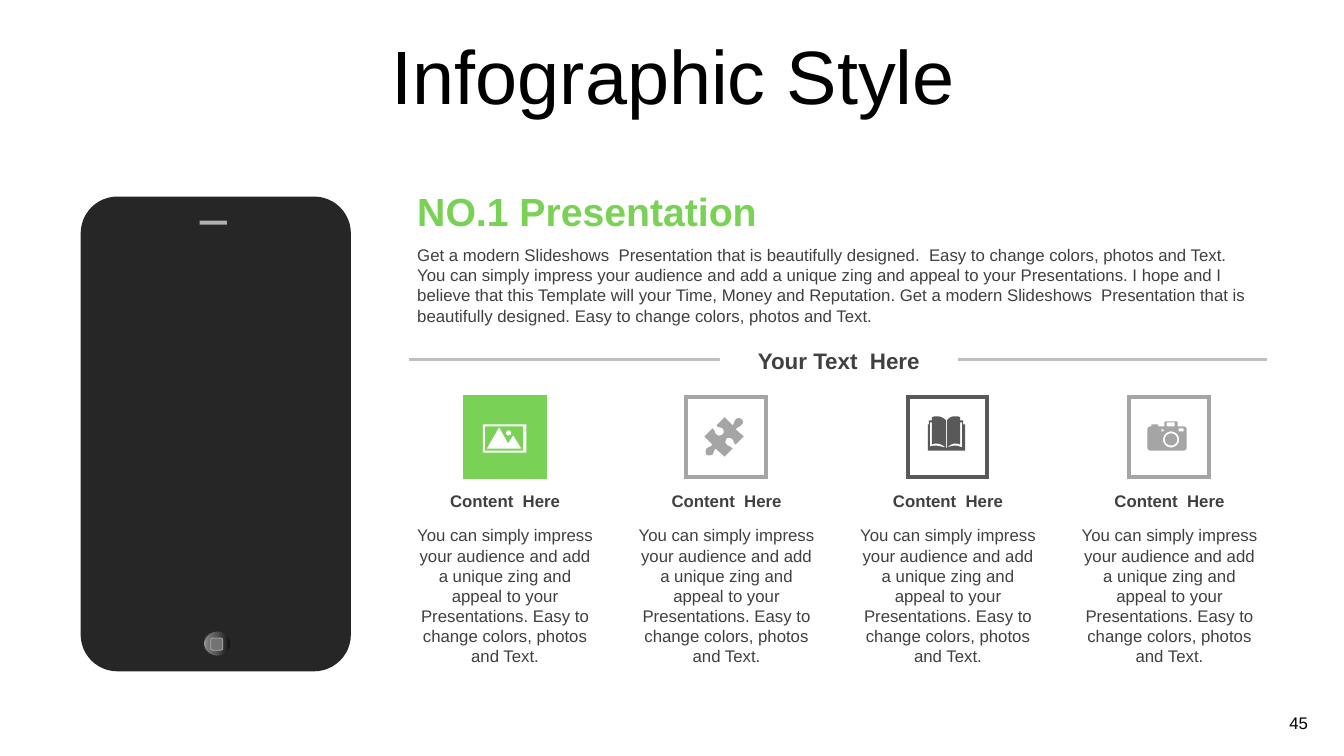
from dataclasses import dataclass
from math import cos, pi, sin

from lxml import etree
from pptx import Presentation
from pptx.dml.color import RGBColor
from pptx.enum.shapes import MSO_CONNECTOR as Connector, MSO_SHAPE as Preset
from pptx.enum.text import MSO_ANCHOR as Anchor, MSO_AUTO_SIZE as AutoSize, PP_ALIGN as Align
from pptx.oxml.ns import qn
from pptx.util import Inches, Pt


@dataclass(frozen=True)
class Theme:
    font: str = "Arial"
    black: str = "000000"
    white: str = "FFFFFF"
    text: str = "404040"
    green: str = "79D155"
    gray: str = "A5A5A5"
    dark: str = "595959"
    rule: str = "BFBFBF"
    phone: str = "262626"
    phone_detail: str = "B0B0B0"
    button_icon: str = "737373"
    button_stops: tuple = ((0, "0F0F0F"), (56, "595959"), (91, "808080"), (100, "BFBFBF"))
    title_size: int = 54
    heading_size: int = 28
    section_size: int = 16
    body_size: int = 12


THEME = Theme()

INTRO = (
    "Get a modern Slideshows  Presentation that is beautifully designed.  Easy to change colors, "
    "photos and Text. You can simply impress your audience and add a unique zing and appeal to "
    "your Presentations. I hope and I believe that this Template will your Time, Money and "
    "Reputation. Get a modern Slideshows  Presentation that is beautifully designed. Easy to "
    "change colors, photos and Text."
)
COLUMN_TEXT = (
    "You can simply impress your audience and add a unique zing and appeal to your "
    "Presentations. Easy to change colors, photos and Text."
)
COLUMN_LEFT, COLUMN_WIDTH, COLUMN_PITCH = 4.03, 1.96, (10.63 - 4.04) / 3
TILE_INSET, TILE_TOP, TILE_SIZE = 0.58, 3.94, 0.79


# Icon outlines, in hundredths of an inch from the tile corner
def box(left, top, width, height):
    right, bottom = left + width, top + height
    return [(left, top), (right, top), (right, bottom), (left, bottom)]


def circle(x, y, radius, steps=32):
    angles = [2 * pi * step / steps for step in range(steps)]
    return [(x + radius * cos(angle), y + radius * sin(angle)) for angle in angles]


def outline(*nodes, steps=6):
    """Two numbers are a corner; six are the controls and end of a curve."""
    points = []
    for node in nodes:
        if len(node) == 2:
            points.append(node)
            continue
        controls = (points[-1], node[:2], node[2:4], node[4:])
        for step in range(1, steps + 1):
            t = step / steps
            weights = ((1 - t) ** 3, 3 * t * (1 - t) ** 2, 3 * t * t * (1 - t), t ** 3)
            points.append(tuple(
                sum(weight * control[axis] for weight, control in zip(weights, controls))
                for axis in (0, 1)))
    return points


PHOTO_ICON = [
    box(18, 27, 43, 28), box(20, 29, 38, 24), circle(43.5, 35.5, 2.5),
    [(34, 30), (43, 46), (48, 38), (56, 51), (22, 51)],
]
PUZZLE_ICON = [outline(
    (55, 22), (56, 23, 57, 26, 55, 27), (53, 30, 51, 29, 49, 32), (57, 39), (49, 47),
    (46, 45, 48, 43, 45, 41), (43, 40, 41, 40, 40, 41), (39, 43, 38, 45, 40, 47),
    (42, 49, 43, 48, 46, 51), (38, 59), (29, 51), (27, 53, 28, 54, 26, 57),
    (24, 58, 21, 58, 20, 57), (19, 55, 19, 53, 20, 51), (22, 49, 24, 50, 26, 47),
    (18, 39), (26, 31), (29, 33, 28, 36, 30, 37), (32, 39, 34, 38, 36, 37),
    (37, 36, 38, 33, 36, 31), (33, 29, 32, 31, 30, 28), (38, 20), (46, 28),
    (48, 25, 47, 25, 49, 22), (51, 20, 54, 21, 55, 22))]
BOOK_ICON = [outline(
    (38, 50), (38, 50, 39, 51, 39, 50), (45, 48, 47, 47, 54, 50), (54, 25), (52, 25),
    (52, 47), (48, 45, 43, 46, 39, 50), (39, 23), (41, 20, 44, 19, 47, 19),
    (49, 19, 50, 19, 52, 20), (52, 23), (55, 23), (55, 27), (57, 27), (57, 53), (20, 53),
    (20, 27), (21, 27), (21, 23), (24, 23), (24, 20), (26, 19, 28, 19, 29, 19),
    (32, 19, 35, 20, 38, 23), (38, 50), (33, 46, 28, 45, 24, 47), (24, 25), (22, 25),
    (22, 49), (28, 47, 32, 49, 38, 50))]
CAMERA_ICON = [
    outline(
        (36, 24), (47, 24), (48, 25), (48, 29), (54, 29), (55, 29, 57, 30, 57, 32), (57, 50),
        (57, 52, 55, 53, 54, 53), (21, 53), (20, 53, 18, 52, 18, 50), (18, 32),
        (18, 30, 20, 29, 21, 29), (22, 29), (22, 27), (28, 27), (29, 28), (29, 29),
        (35, 29), (35, 25)),
    box(37, 25, 8, 4), box(32, 32, 2, 2), box(49, 31, 5, 3),
    circle(41.5, 42, 8), circle(41.5, 42, 6),
]
# Tile fill, tile line, icon colour, icon outlines
COLUMNS = [
    (THEME.green, THEME.green, THEME.white, PHOTO_ICON),
    (THEME.white, THEME.gray, THEME.gray, PUZZLE_ICON),
    (THEME.white, THEME.dark, THEME.dark, BOOK_ICON),
    (THEME.white, THEME.gray, THEME.gray, CAMERA_ICON),
]


def color(value):
    return RGBColor.from_string(value)


def style_shape(shape, fill, line=None, weight=0):
    shape.shadow.inherit = False
    shape.fill.solid()
    shape.fill.fore_color.rgb = color(fill)
    if line:
        shape.line.color.rgb = color(line)
        shape.line.width = Pt(weight)
        etree.SubElement(shape._element.spPr.find(qn("a:ln")), qn("a:miter"), lim="800000")
    else:
        shape.line.fill.background()


def add_preset(slide, preset, bounds, fill, line=None, weight=0):
    shape = slide.shapes.add_shape(preset, *map(Inches, bounds))
    style_shape(shape, fill, line, weight)
    return shape


def write_text(shape, text, size, ink=THEME.text, bold=False, align=Align.LEFT,
               wrap=True, auto_size=AutoSize.SHAPE_TO_FIT_TEXT, anchor=Anchor.TOP):
    frame = shape.text_frame
    frame.text = text
    frame.word_wrap, frame.auto_size, frame.vertical_anchor = wrap, auto_size, anchor
    paragraph = frame.paragraphs[0]
    paragraph.alignment = align
    font = paragraph.font
    font.name, font.size, font.bold = THEME.font, Pt(size), bold
    font.color.rgb = color(ink)
    return paragraph


def add_text(slide, bounds, text, size, **options):
    write_text(slide.shapes.add_textbox(*map(Inches, bounds)), text, size, **options)


def add_icon(slide, left, top, contours, fill):
    unit = Inches(0.01)
    builder = None
    for contour in contours:
        points = [(x * unit, y * unit) for x, y in contour]
        if builder is None:
            builder = slide.shapes.build_freeform(*points[0])
        else:
            builder.move_to(*points[0])
        builder.add_line_segments(points[1:], close=True)
    style_shape(builder.convert_to_shape(Inches(left), Inches(top)), fill)


def add_title(slide):
    title = slide.shapes.title
    title.left, title.top, title.width, title.height = map(Inches, (0.35, 0.37, 12.66, 0.79))
    paragraph = write_text(title, "Infographic Style", THEME.title_size, THEME.black,
                           align=Align.CENTER, auto_size=AutoSize.NONE, anchor=Anchor.MIDDLE)
    paragraph.line_spacing = 0.9
    title.text_frame.margin_top = Inches(0.1)


def add_phone(slide):
    body = add_preset(slide, Preset.ROUNDED_RECTANGLE, (0.8, 1.95, 2.68, 4.71), THEME.phone)
    body.adjustments[0] = 0.136
    add_preset(slide, Preset.RECTANGLE, (1.98, 2.19, 0.27, 0.04), THEME.phone_detail)
    button = add_preset(slide, Preset.OVAL, (2.02, 6.26, 0.27, 0.25), THEME.phone, THEME.phone)
    button.fill.gradient()
    button.fill.gradient_angle = 180
    stops = next(button._element.iter(qn("a:gsLst")))
    for stop in list(stops):
        stops.remove(stop)
    for position, value in THEME.button_stops:
        stop = etree.SubElement(stops, qn("a:gs"), pos=str(position * 1000))
        etree.SubElement(stop, qn("a:srgbClr"), val=value)
    add_preset(slide, Preset.ROUNDED_RECTANGLE, (2.09, 6.33, 0.12, 0.12),
               THEME.button_icon, THEME.phone_detail, 0.5)


def add_section_heading(slide):
    rule = slide.shapes.add_connector(
        Connector.STRAIGHT, *map(Inches, (4.06, 3.57, 12.57, 3.57)))
    rule.line.color.rgb = color(THEME.rule)
    rule.line.width = Pt(2)
    etree.SubElement(rule._element.spPr, qn("a:effectLst"))
    label = add_preset(slide, Preset.RECTANGLE, (7.14, 3.39, 2.36, 0.37), THEME.white)
    write_text(label, "Your Text  Here", THEME.section_size, bold=True, align=Align.CENTER)


def add_column(slide, index, fill, line, ink, icon):
    left = COLUMN_LEFT + index * COLUMN_PITCH
    tile_left = left + TILE_INSET
    add_preset(slide, Preset.RECTANGLE, (tile_left, TILE_TOP, TILE_SIZE, TILE_SIZE), fill, line, 3)
    add_icon(slide, tile_left, TILE_TOP, icon, ink)
    for top, height, text, bold in ((4.82, 0.3, "Content  Here", True),
                                    (5.16, 1.51, COLUMN_TEXT, False)):
        add_text(slide, (left, top, COLUMN_WIDTH, height), text, THEME.body_size,
                 bold=bold, align=Align.CENTER)


def main():
    presentation = Presentation()
    presentation.slide_width, presentation.slide_height = Inches(13.33), Inches(7.5)
    slide = presentation.slides.add_slide(presentation.slide_layouts[5])
    add_title(slide)
    add_phone(slide)
    # Introduction
    add_text(slide, (4.04, 1.81, 8.56, 0.57), "NO.1 Presentation", THEME.heading_size,
             ink=THEME.green, bold=True)
    add_text(slide, (4.04, 2.38, 8.47, 0.91), INTRO, THEME.body_size)
    # Four content columns
    add_section_heading(slide)
    for index, column in enumerate(COLUMNS):
        add_column(slide, index, *column)
    # Page number
    add_text(slide, (12.69, 7.02, 0.41, 0.3), "45", THEME.body_size, ink=THEME.black, wrap=False)
    presentation.save("out.pptx")


if __name__ == "__main__":
    main()
